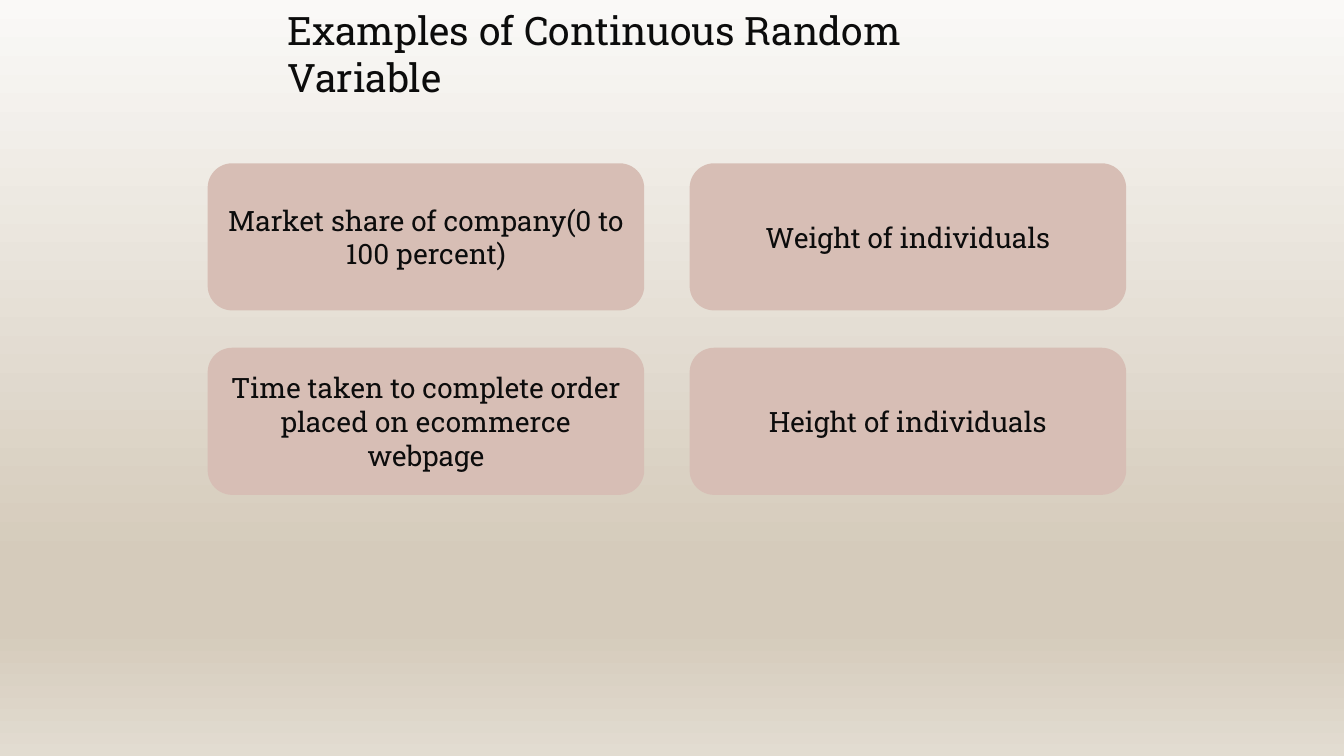
from lxml.etree import SubElement
from pptx import Presentation
from pptx.dml.color import RGBColor
from pptx.enum.shapes import MSO_SHAPE
from pptx.enum.text import MSO_ANCHOR, PP_ALIGN
from pptx.oxml.ns import qn
from pptx.util import Inches, Pt

COLORS = {"text": "0C0C0C", "card": "D7BEB5", "top": "FAF9F7", "sand": "D5CBBB", "base": "E2DCD1"}
BACKGROUND = [(0, "top"), (74, "sand"), (83, "sand"), (100, "base")]
EXAMPLES = [
    ["Market share of company(0 to 100 percent)", "Weight of individuals"],
    ["Time taken to complete order placed on ecommerce webpage", "Height of individuals"],
]


class SlideBuilder:
    font = "Roboto Slab"
    left, top = 2.06, 1.62
    col_step, row_step = 4.78, 1.83
    card_width, card_height = 4.33, 1.46

    def __init__(self, prs):
        self.s = prs.slides.add_slide(prs.slide_layouts[6])

    def background(self, stops):
        fill = self.s.background.fill
        fill.gradient()
        fill.gradient_angle = 270
        gs_list = self.s.element.find(".//" + qn("a:gsLst"))
        for gs in list(gs_list):
            gs_list.remove(gs)
        for percent, color in stops:
            gs = SubElement(gs_list, qn("a:gs"), pos=str(percent * 1000))
            SubElement(gs, qn("a:srgbClr"), val=COLORS[color])

    def set_text(self, sp, text, size, align):
        tf = sp.text_frame
        tf.word_wrap = True
        p = tf.paragraphs[0]
        p.text = text
        p.alignment = align
        p.font.name = self.font
        p.font.size = Pt(size)
        p.font.color.rgb = RGBColor.from_string(COLORS["text"])

    def title(self, text):
        sp = self.s.shapes.add_textbox(Inches(2.75), Inches(0.01), Inches(7.88), Inches(0.57))
        self.set_text(sp, text, 28, PP_ALIGN.LEFT)

    def card(self, col, row, text):
        sp = self.s.shapes.add_shape(
            MSO_SHAPE.ROUNDED_RECTANGLE,
            Inches(self.left + col * self.col_step),
            Inches(self.top + row * self.row_step),
            Inches(self.card_width),
            Inches(self.card_height),
        )
        sp.shadow.inherit = False
        sp.fill.solid()
        sp.fill.fore_color.rgb = RGBColor.from_string(COLORS["card"])
        sp.line.fill.background()
        sp.text_frame.vertical_anchor = MSO_ANCHOR.MIDDLE
        self.set_text(sp, text, 20, PP_ALIGN.CENTER)


def main():
    prs = Presentation()
    prs.slide_width, prs.slide_height = Inches(13.33), Inches(7.5)
    slide = SlideBuilder(prs)
    slide.background(BACKGROUND)
    slide.title("Examples of Continuous Random Variable")
    for row, texts in enumerate(EXAMPLES):
        for col, text in enumerate(texts):
            slide.card(col, row, text)
    prs.save("out.pptx")


if __name__ == "__main__":
    main()
